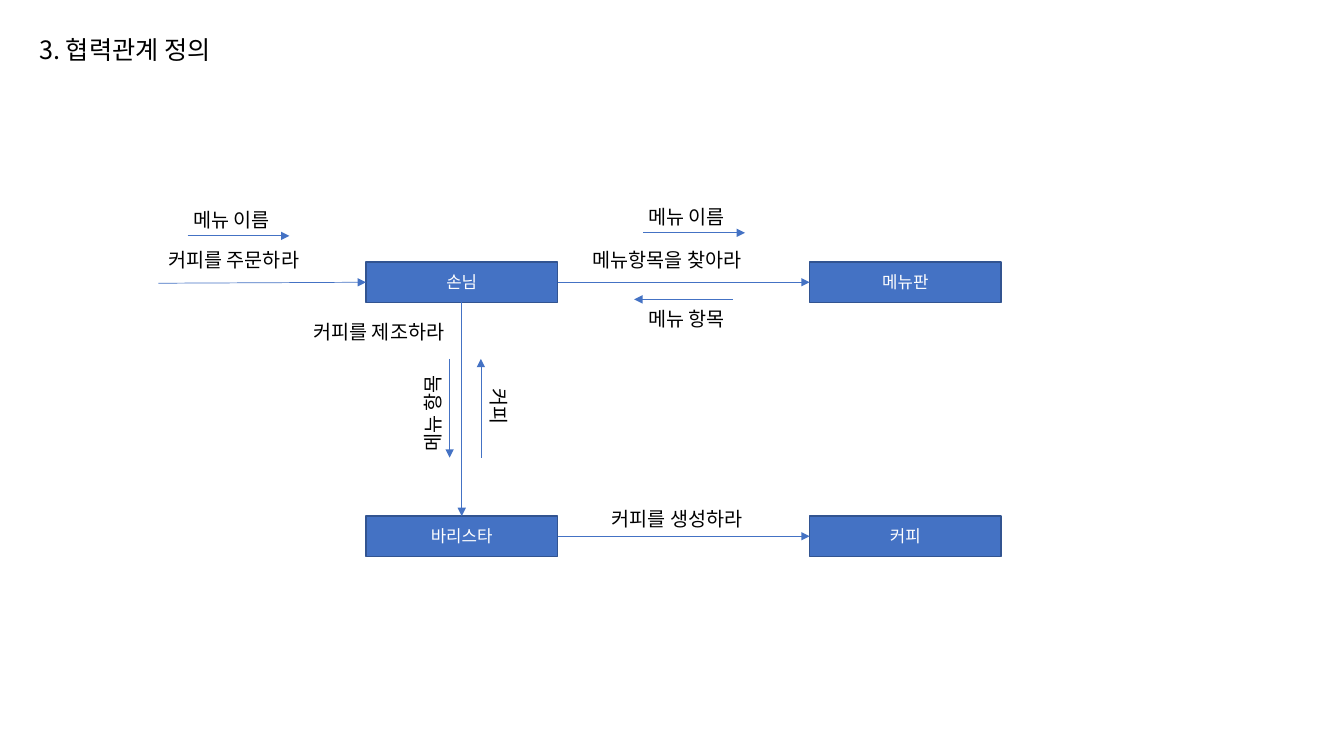
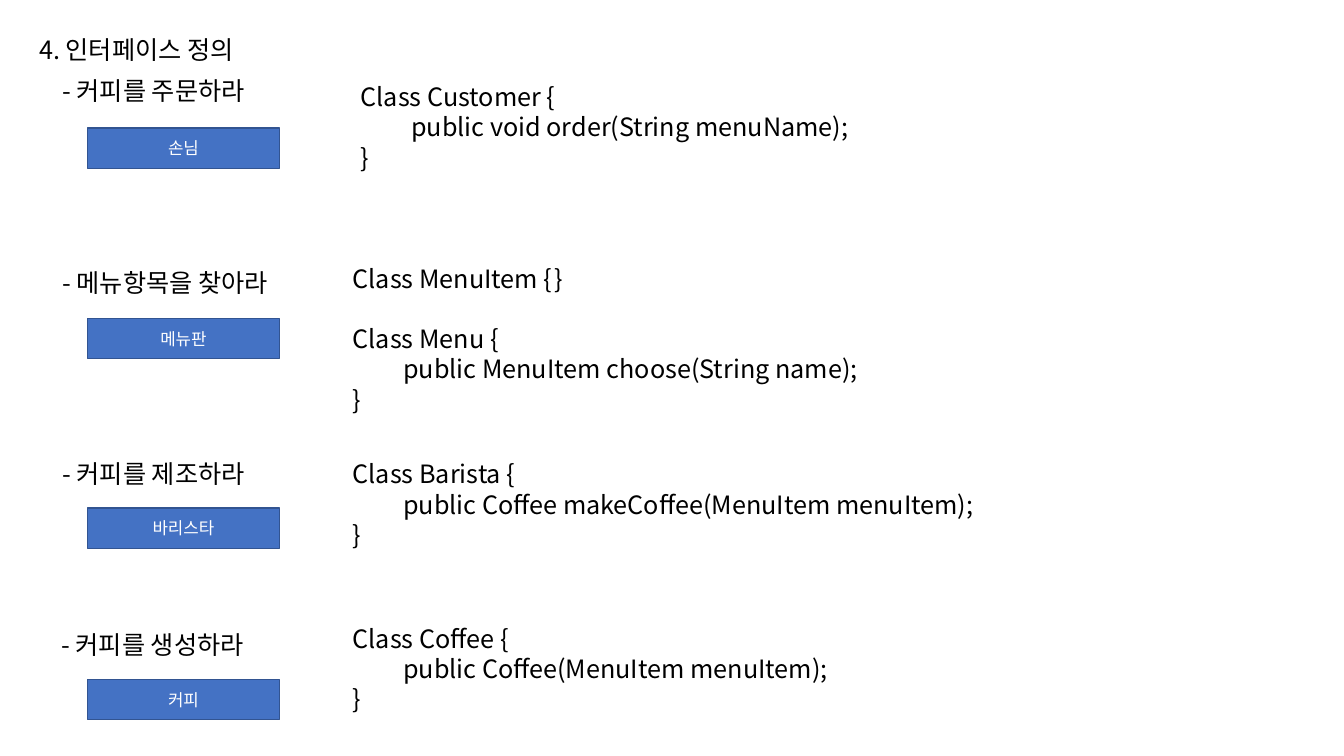
"""Build two slides: the collaboration diagram and the interface list of a cafe."""
from typing import NamedTuple

from lxml import etree
from pptx import Presentation
from pptx import util as u
from pptx.dml.color import RGBColor
from pptx.enum import shapes, text
from pptx.oxml.ns import qn

SCALE = 9144
WIDE, HIGH = 1333, 750
FONT = "Noto Sans CJK KR"
HUES = {"ink": "000000", "fill": "4472C4", "edge": "325491", "pale": "FFFFFF"}
BOX_W, BOX_H = 190, 40
COLS = (363, 803)
ROWS = (260, 512)
MID = BOX_H // 2


class Label(NamedTuple):
    x: int
    y: int
    w: int
    words: str
    turn: int = 0


class Box(NamedTuple):
    x: int
    y: int
    name: str


class Arrow(NamedTuple):
    x1: int
    y1: int
    x2: int
    y2: int


class Role(NamedTuple):
    y: int
    task: Label
    name: str


class Code(NamedTuple):
    x: int
    y: int
    w: int
    lines: tuple[str, ...]


LABELS = (
    Label(157, 241, 164, "커피를 주문하라"),
    Label(578, 241, 184, "메뉴항목을 찾아라"),
    Label(301, 312, 164, "커피를 제조하라"),
    Label(597, 498, 164, "커피를 생성하라"),
    Label(633, 300, 106, "메뉴 항목"),
    Label(633, 198, 106, "메뉴 이름"),
    Label(182, 201, 106, "메뉴 이름"),
    Label(377, 388, 106, "메뉴 항목", 270),
    Label(465, 388, 59, "커피", 90),
)
BOXES = (
    Box(COLS[0], ROWS[0], "손님"),
    Box(COLS[1], ROWS[0], "메뉴판"),
    Box(COLS[0], ROWS[1], "바리스타"),
    Box(COLS[1], ROWS[1], "커피"),
)
EDGE = COLS[0] + BOX_W
STEM = COLS[0] + BOX_W // 2
ARROWS = (
    Arrow(157, 281, COLS[0], ROWS[0] + MID),
    *(Arrow(EDGE, y + MID, COLS[1], y + MID) for y in ROWS),
    Arrow(STEM, ROWS[0] + BOX_H, STEM, ROWS[1]),
    Arrow(727, 297, 629, 297),
    Arrow(638, 231, 739, 231),
    Arrow(186, 234, 287, 234),
    Arrow(446, 356, 446, 454),
    Arrow(477, 454, 477, 356),
)
ROLES = (
    Role(127, Label(52, 70, 225, "- 커피를 주문하라"), "손님"),
    Role(316, Label(52, 260, 259, "- 메뉴항목을 찾아라"), "메뉴판"),
    Role(504, Label(52, 450, 234, "- 커피를 제조하라"), "바리스타"),
    Role(674, Label(51, 619, 234, "- 커피를 생성하라"), "커피"),
)
CODES = (
    Code(348, 76, 553, ("Class Customer {", "\tpublic void order(String menuName);", "}")),
    Code(340, 256, 230, ("Class MenuItem {\t}",)),
    Code(340, 316, 566, ("Class Menu {", "\tpublic MenuItem choose(String name);", "}")),
    Code(340, 450, 685, ("Class Barista {\t", "\tpublic Coffee makeCoffee(MenuItem menuItem);", "}")),
    Code(340, 613, 536, ("Class Coffee {\t", "\tpublic Coffee(MenuItem menuItem);", "}")),
)


def px(*vals: int) -> list[u.Emu]:
    return [u.Emu(val * SCALE) for val in vals]


def hue(key: str) -> RGBColor:
    return RGBColor.from_string(HUES[key])


def write(frame, *lines: str, size: int = 18, tint: str = "ink", align=None) -> None:
    for num, line in enumerate(lines):
        para = frame.add_paragraph() if num else frame.paragraphs[0]
        if align is not None:
            para.alignment = align
        run = para.add_run()
        run.text = line
        run.font.size = u.Pt(size)
        run.font.color.rgb = hue(tint)
        run.font.name = FONT
        face = etree.SubElement(run.font._element, qn("a:ea"))
        face.set("typeface", FONT)


def add_text(slide, x: int, y: int, w: int, h: int, *lines: str, size: int = 18, turn: int = 0) -> None:
    shape = slide.shapes.add_textbox(*px(x, y, w, h))
    shape.rotation = turn
    frame = shape.text_frame
    frame.word_wrap = False
    frame.auto_size = text.MSO_AUTO_SIZE.SHAPE_TO_FIT_TEXT
    write(frame, *lines, size=size)


def add_box(slide, box: Box) -> None:
    shape = slide.shapes.add_shape(shapes.MSO_SHAPE.RECTANGLE, *px(box.x, box.y, BOX_W, BOX_H))
    shape.shadow.inherit = False
    shape.fill.solid()
    shape.fill.fore_color.rgb = hue("fill")
    shape.line.color.rgb = hue("edge")
    shape.line.width = u.Pt(1)
    frame = shape.text_frame
    frame.vertical_anchor = text.MSO_ANCHOR.MIDDLE
    write(frame, box.name, size=12, tint="pale", align=text.PP_ALIGN.CENTER)


def add_arrow(slide, arrow: Arrow) -> None:
    link = slide.shapes.add_connector(shapes.MSO_CONNECTOR.STRAIGHT, *px(*arrow))
    link.line.color.rgb = hue("fill")
    link.line.width = u.Pt(0.5)
    tip = etree.SubElement(link.line._get_or_add_ln(), qn("a:tailEnd"))
    tip.set("type", "triangle")
    etree.SubElement(link._element.spPr, qn("a:effectLst"))


def add_slide(deck, title: str, w: int):
    slide = deck.slides.add_slide(deck.slide_layouts[6])
    add_text(slide, 29, 29, w, 40, title)
    return slide


def draw_flow(deck) -> None:
    slide = add_slide(deck, "3. 협력관계 정의", 209)
    for box in BOXES:
        add_box(slide, box)
    for arrow in ARROWS:
        add_arrow(slide, arrow)
    for tag in LABELS:
        add_text(slide, tag.x, tag.y, tag.w, 34, tag.words, size=14, turn=tag.turn)


def draw_types(deck) -> None:
    slide = add_slide(deck, "4. 인터페이스 정의", 234)
    for role in ROLES:
        task = role.task
        add_text(slide, task.x, task.y, task.w, 40, task.words)
        add_box(slide, Box(87, role.y, role.name))
    for code in CODES:
        high = 40 if len(code.lines) == 1 else 101
        add_text(slide, code.x, code.y, code.w, high, *code.lines)


def main() -> None:
    deck = Presentation()
    deck.slide_width, deck.slide_height = px(WIDE, HIGH)
    draw_flow(deck)
    draw_types(deck)
    deck.save("out.pptx")


if __name__ == "__main__":
    main()
